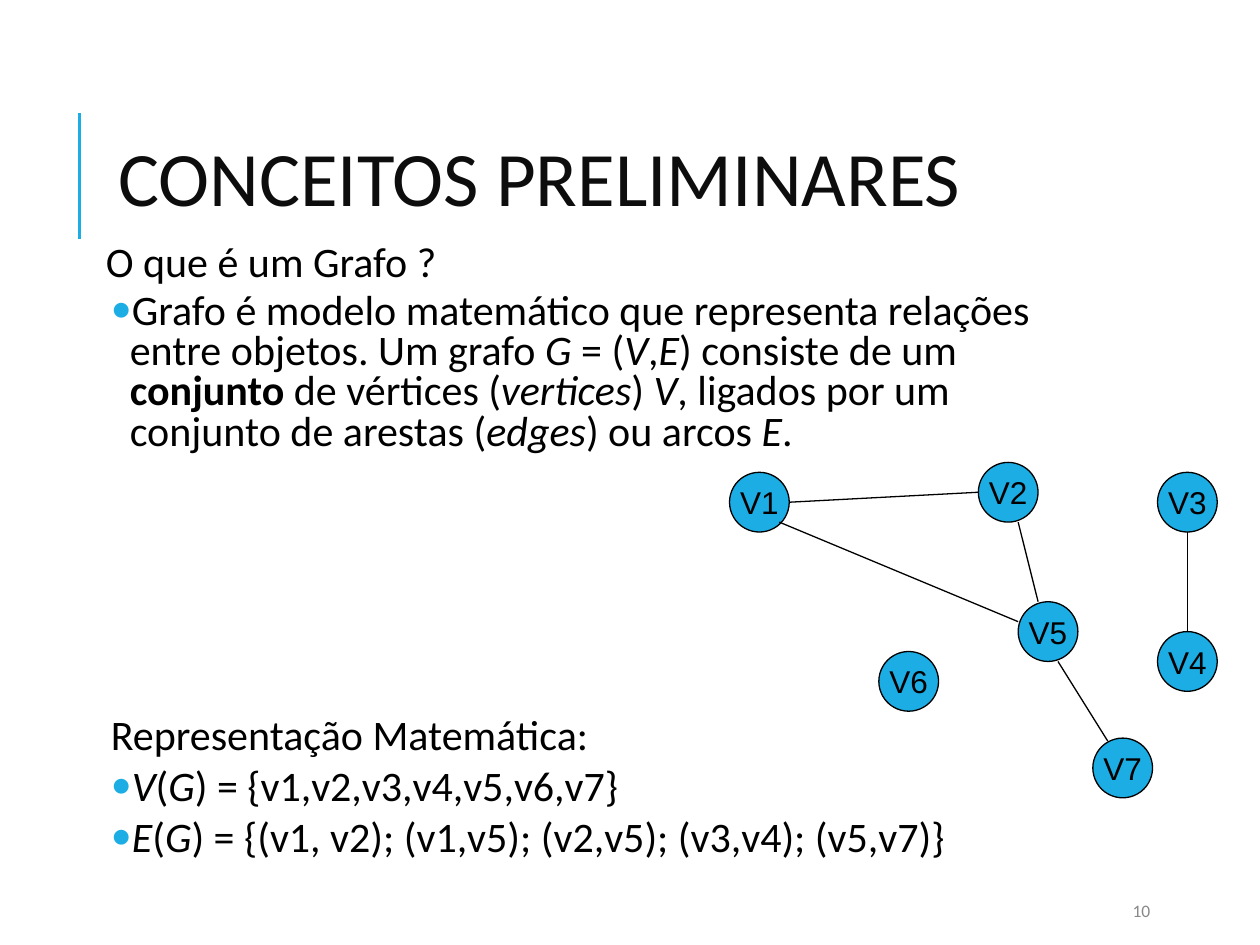
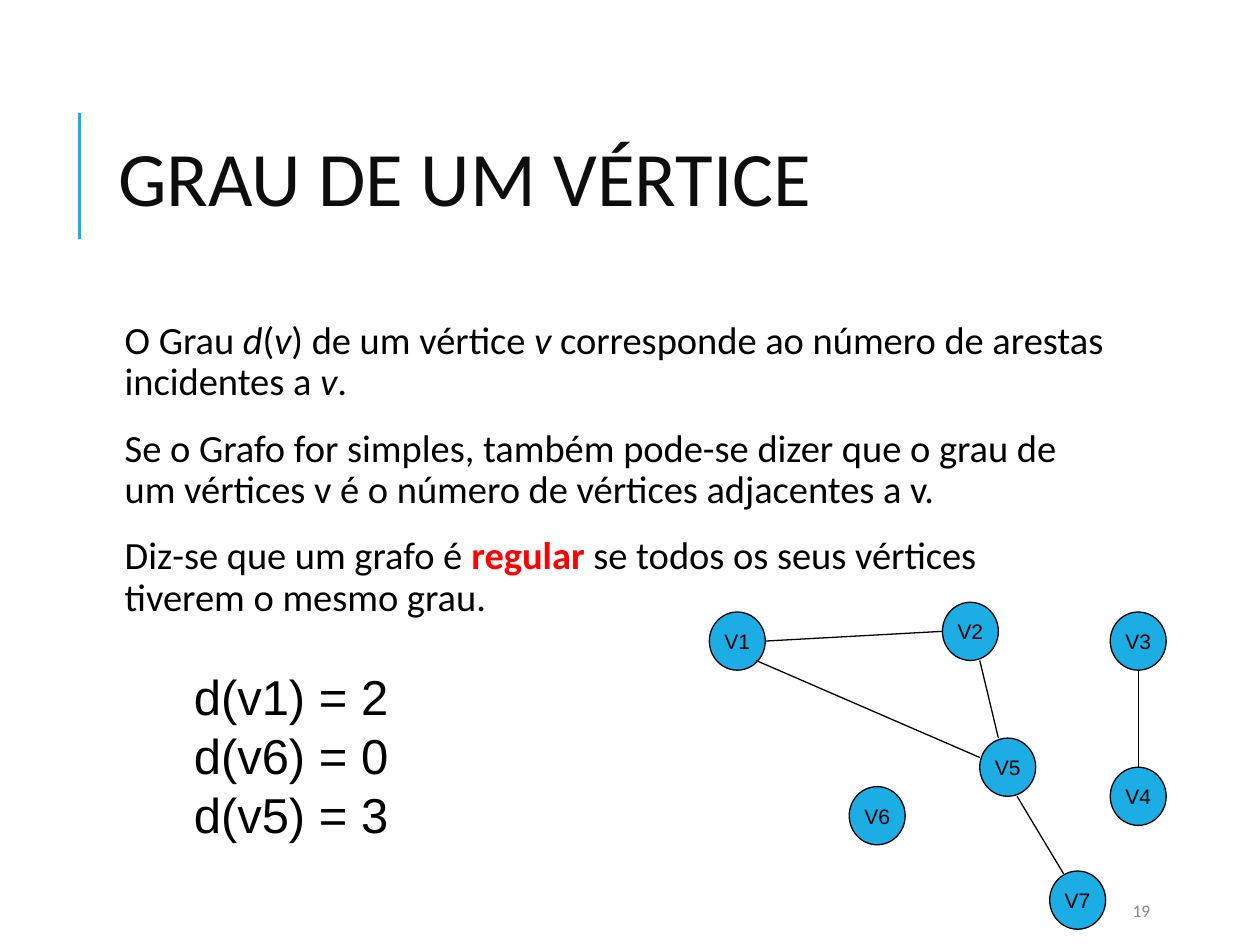
"""Build two slides on graph theory: basic concepts and vertex degree."""

from dataclasses import dataclass
from typing import NamedTuple

from lxml.etree import SubElement
from pptx import Presentation
from pptx.dml.color import RGBColor
from pptx.enum.shapes import MSO_CONNECTOR, MSO_SHAPE
from pptx.enum.text import MSO_ANCHOR, PP_ALIGN
from pptx.oxml.ns import qn
from pptx.util import Emu, Inches, Pt

COLUMNS, ROWS = 100, 75
CELL = Inches(0.1)
COLORS = {
    "accent": "1CADE4",
    "title": "0D0D0D",
    "text": "000000",
    "strong": "FF0000",
    "footer": "898989",
}


class Area(NamedTuple):
    left: float
    top: float
    width: float
    height: float


class Point(NamedTuple):
    column: float
    row: float


@dataclass(frozen=True)
class TextStyle:
    size: float
    font: str = "Calibri"
    color: str = "text"
    strong: str = "text"
    line: float = 1.0
    before: float = 0
    after: float = 0
    margin: float = 0
    hanging: float = 0
    align: PP_ALIGN = PP_ALIGN.LEFT


@dataclass(frozen=True)
class Paragraph:
    text: str
    style: TextStyle


@dataclass(frozen=True)
class TextBlock:
    area: Area
    paragraphs: tuple[Paragraph, ...]
    anchor: MSO_ANCHOR = MSO_ANCHOR.TOP
    side_inset: float = 1
    wrap: bool = True


@dataclass(frozen=True)
class GraphPlan:
    origin: Point
    unit_width: float
    unit_height: float
    label_size: float


@dataclass(frozen=True)
class Slide:
    title: str
    number: str
    blocks: tuple[TextBlock, ...]
    graph: GraphPlan


TITLE = TextStyle(44, color="title", line=0.8)
FOOTER = TextStyle(10, color="footer")
QUESTION = TextStyle(24, line=0.8, after=2, margin=1)
BULLET = TextStyle(24, line=0.8, before=2, after=4, margin=2.9, hanging=1.5)
SUBHEADING = TextStyle(24, line=0.8, before=147, after=4, margin=1.4)
STATEMENT = TextStyle(22, strong="strong", line=0.9, before=12, after=2, margin=1)
DEGREE = TextStyle(28, font="Arial")

TITLE_AREA = Area(8.4, 6.4, 79.7, 16.4)
FOOTER_AREA = Area(88.9, 70.8, 8, 3)
RULE = (Point(6.3, 19), Point(6.3, 9))

VERTEX_SPAN = 6
VERTICES = {
    "V1": Point(0, 1),
    "V2": Point(25, 0),
    "V4": Point(43, 17),
    "V5": Point(29, 14),
    "V3": Point(43, 1),
    "V6": Point(15, 19),
    "V7": Point(36.5, 27.7),
}
EDGES = (
    (Point(6, 4), Point(25, 3)),
    (Point(5, 6), Point(29, 16)),
    (Point(29, 6), Point(31, 14)),
    (Point(46, 7), Point(46, 17)),
    (Point(33, 20), Point(38, 28)),
)

SLIDES = (
    Slide(
        "CONCEITOS PRELIMINARES",
        "10",
        (
            TextBlock(
                Area(6.9, 19, 81.2, 54.8),
                (
                    Paragraph("O que é um Grafo ?", QUESTION),
                    Paragraph(
                        "Grafo é modelo matemático que representa relações entre objetos. "
                        "Um grafo _G_ = (_V_,_E_) consiste de um *conjunto* de vértices "
                        "(_vertices_) _V_, ligados por um conjunto de arestas (_edges_) "
                        "ou arcos _E_.",
                        BULLET,
                    ),
                    Paragraph("Representação Matemática:", SUBHEADING),
                    Paragraph("_V_(_G_) = {v1,v2,v3,v4,v5,v6,v7}", BULLET),
                    Paragraph(
                        "_E_(_G_) = {(v1, v2); (v1,v5); (v2,v5); (v3,v4); (v5,v7)}", BULLET
                    ),
                ),
                side_inset=0.5,
            ),
        ),
        GraphPlan(Point(57.9, 36.7), 0.79, 0.79, 18),
    ),
    Slide(
        "GRAU DE UM VÉRTICE",
        "19",
        (
            TextBlock(
                Area(8.4, 25, 79.7, 44),
                (
                    Paragraph(
                        "O Grau _d_(_v_) de um vértice _v_ corresponde ao número de "
                        "arestas incidentes a _v_.",
                        STATEMENT,
                    ),
                    Paragraph(
                        "Se o Grafo for simples, também pode-se dizer que o grau de um "
                        "vértices v é o número de vértices adjacentes a v.",
                        STATEMENT,
                    ),
                    Paragraph(
                        "Diz-se que um grafo é *regular* se todos os seus vértices "
                        "tiverem o mesmo grau.",
                        STATEMENT,
                    ),
                ),
                side_inset=0.5,
            ),
            TextBlock(
                Area(14.4, 52.4, 17.4, 15),
                tuple(
                    Paragraph(text, DEGREE)
                    for text in ("d(v1) = 2", "d(v6) = 0", "d(v5) = 3")
                ),
                wrap=False,
            ),
        ),
        GraphPlan(Point(56.3, 47.8), 0.74, 0.77, 12),
    ),
)


def grid(cells: float) -> Emu:
    return Emu(round(cells * CELL))


def color(name: str) -> RGBColor:
    return RGBColor.from_string(COLORS[name])


def add_bullet(properties) -> None:
    bullet_color = SubElement(properties, qn("a:buClr"))
    SubElement(bullet_color, qn("a:srgbClr"), val=COLORS["accent"])
    SubElement(properties, qn("a:buFont"), typeface="Calibri")
    SubElement(properties, qn("a:buChar"), char="•")


def add_spans(paragraph, text: str, style: TextStyle) -> None:
    for strong_index, chunk in enumerate(text.split("*")):
        for italic_index, piece in enumerate(chunk.split("_")):
            if not piece:
                continue
            span = paragraph.add_run()
            span.text = piece
            if italic_index % 2:
                span.font.italic = True
            if strong_index % 2:
                span.font.bold = True
                span.font.color.rgb = color(style.strong)


def write_paragraph(paragraph, text: str, style: TextStyle, first: bool) -> None:
    properties = paragraph._p.get_or_add_pPr()
    properties.set("marL", str(grid(style.margin)))
    properties.set("indent", str(-grid(style.hanging)))
    if style.hanging:
        add_bullet(properties)
    paragraph.alignment = style.align
    paragraph.line_spacing = style.line
    paragraph.space_before = Pt(0 if first else style.before)
    paragraph.space_after = Pt(style.after)
    paragraph.font.name = style.font
    paragraph.font.size = Pt(style.size)
    paragraph.font.color.rgb = color(style.color)
    add_spans(paragraph, text, style)


def add_text(page, block: TextBlock) -> None:
    frame = page.shapes.add_textbox(*map(grid, block.area)).text_frame
    frame.word_wrap = block.wrap
    frame.vertical_anchor = block.anchor
    frame.margin_left = frame.margin_right = grid(block.side_inset)
    frame.margin_top = frame.margin_bottom = grid(0.5)
    for index, item in enumerate(block.paragraphs):
        paragraph = frame.add_paragraph() if index else frame.paragraphs[0]
        write_paragraph(paragraph, item.text, item.style, index == 0)


def add_line(shapes, start: Point, end: Point, line_color: str, width: float) -> None:
    connector = shapes.add_connector(MSO_CONNECTOR.STRAIGHT, *map(grid, start + end))
    connector.line.color.rgb = color(line_color)
    connector.line.width = Pt(width)
    SubElement(connector._element.spPr, qn("a:effectLst"))


def add_vertex(shapes, area: Area, label: str, size: float) -> None:
    vertex = shapes.add_shape(MSO_SHAPE.OVAL, *map(grid, area))
    vertex.shadow.inherit = False
    vertex.fill.solid()
    vertex.fill.fore_color.rgb = color("accent")
    vertex.line.color.rgb = color("text")
    vertex.line.width = Pt(0.75)
    frame = vertex.text_frame
    frame.word_wrap = False
    frame.vertical_anchor = MSO_ANCHOR.MIDDLE
    style = TextStyle(size, font="Arial", align=PP_ALIGN.CENTER)
    write_paragraph(frame.paragraphs[0], label, style, True)


def add_graph(page, plan: GraphPlan) -> None:
    def place(point: Point) -> Point:
        return Point(
            plan.origin.column + point.column * plan.unit_width,
            plan.origin.row + point.row * plan.unit_height,
        )

    shapes = page.shapes.add_group_shape().shapes
    width, height = VERTEX_SPAN * plan.unit_width, VERTEX_SPAN * plan.unit_height
    for label, corner in VERTICES.items():
        add_vertex(shapes, Area(*place(corner), width, height), label, plan.label_size)
    for start, end in EDGES:
        add_line(shapes, place(start), place(end), "text", 0.75)


def add_slide(deck, slide: Slide) -> None:
    page = deck.slides.add_slide(deck.slide_layouts[6])
    add_line(page.shapes, *RULE, "accent", 1.5)
    title = TextBlock(TITLE_AREA, (Paragraph(slide.title, TITLE),), MSO_ANCHOR.MIDDLE)
    footer = TextBlock(FOOTER_AREA, (Paragraph(slide.number, FOOTER),), MSO_ANCHOR.MIDDLE)
    for block in (title, *slide.blocks, footer):
        add_text(page, block)
    add_graph(page, slide.graph)


def main() -> None:
    deck = Presentation()
    deck.slide_width, deck.slide_height = grid(COLUMNS), grid(ROWS)
    for slide in SLIDES:
        add_slide(deck, slide)
    deck.save("out.pptx")


if __name__ == "__main__":
    main()
